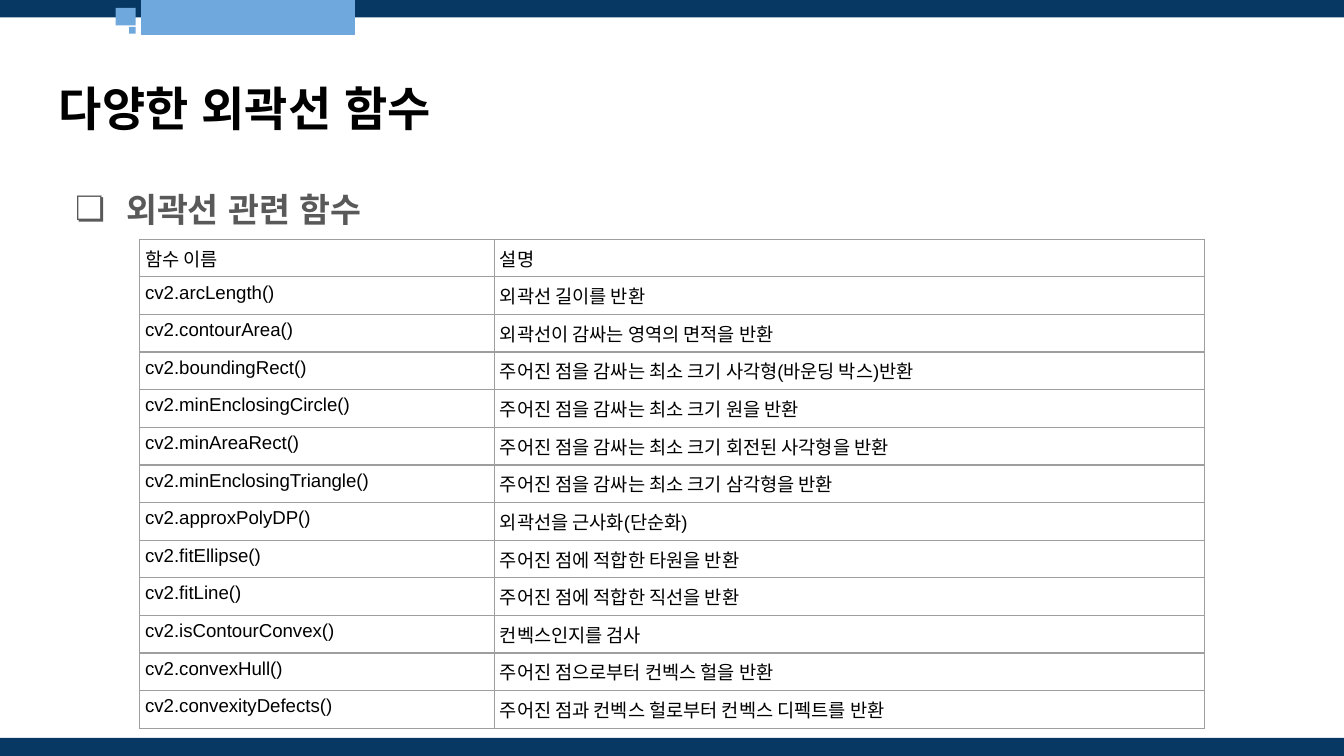
from typing import NamedTuple

from lxml.etree import SubElement
from pptx import Presentation
from pptx.dml.color import RGBColor
from pptx.enum.shapes import MSO_SHAPE as SHAPE
from pptx.oxml.ns import qn
from pptx.util import Inches, Pt

COLORS = {
    "navy": "073763",
    "sky": "6FA8DC",
    "black": "000000",
    "gray": "595959",
    "border": "9E9E9E",
}
FONT = "Arial"
ROW_HEIGHT = 0.28
COL_WIDTHS = (2.64, 5.28)


class Bar(NamedTuple):
    left: float
    top: float
    width: float
    height: float
    color: str


class Function(NamedTuple):
    name: str
    description: str


BARS = [
    Bar(-0.01, -0.01, 10.03, 0.14, "navy"),
    Bar(1.05, 0, 1.59, 0.26, "sky"),
    Bar(0.86, 0.06, 0.15, 0.13, "sky"),
    Bar(0.96, 0.2, 0.05, 0.05, "sky"),
    Bar(-0.01, 5.49, 10.03, 0.14, "navy"),
]

FUNCTIONS = [
    Function("함수 이름", "설명"),
    Function("cv2.arcLength()", "외곽선 길이를 반환"),
    Function("cv2.contourArea()", "외곽선이 감싸는 영역의 면적을 반환"),
    Function("cv2.boundingRect()", "주어진 점을 감싸는 최소 크기 사각형(바운딩 박스)반환"),
    Function("cv2.minEnclosingCircle()", "주어진 점을 감싸는 최소 크기 원을 반환"),
    Function("cv2.minAreaRect()", "주어진 점을 감싸는 최소 크기 회전된 사각형을 반환"),
    Function("cv2.minEnclosingTriangle()", "주어진 점을 감싸는 최소 크기 삼각형을 반환"),
    Function("cv2.approxPolyDP()", "외곽선을 근사화(단순화)"),
    Function("cv2.fitEllipse()", "주어진 점에 적합한 타원을 반환"),
    Function("cv2.fitLine()", "주어진 점에 적합한 직선을 반환"),
    Function("cv2.isContourConvex()", "컨벡스인지를 검사"),
    Function("cv2.convexHull()", "주어진 점으로부터 컨벡스 헐을 반환"),
    Function("cv2.convexityDefects()", "주어진 점과 컨벡스 헐로부터 컨벡스 디펙트를 반환"),
]


def rgb(name: str) -> RGBColor:
    return RGBColor.from_string(COLORS[name])


def set_text(tf, text: str, *, size: float, color: str = "black",
             bold: bool = False, east_asian: bool = True):
    p = tf.paragraphs[0]
    r = p.add_run()
    r.text = text
    r.font.size = Pt(size)
    r.font.bold = bold
    r.font.color.rgb = rgb(color)
    r.font.name = FONT
    if east_asian:
        for tag in ("a:ea", "a:cs"):
            SubElement(r.font._element, qn(tag), typeface=FONT)
    return p


def add_text(s, left: float, top: float, width: float, height: float,
             text: str, **style):
    tf = s.shapes.add_textbox(Inches(left), Inches(top),
                              Inches(width), Inches(height)).text_frame
    tf.word_wrap = True
    tf.margin_left = tf.margin_right = Inches(0.1)
    tf.margin_top = tf.margin_bottom = Inches(0.1)
    return set_text(tf, text, **style)


def add_bullet(p, char: str, color: str, left: float, indent: float) -> None:
    pPr = p._p.get_or_add_pPr()
    pPr.set("marL", str(Inches(left)))
    pPr.set("indent", str(Inches(indent)))
    buClr = SubElement(pPr, qn("a:buClr"))
    SubElement(buClr, qn("a:srgbClr"), val=COLORS[color])
    SubElement(pPr, qn("a:buFont"), typeface=FONT)
    SubElement(pPr, qn("a:buChar"), char=char)


def add_bar(s, bar: Bar) -> None:
    sp = s.shapes.add_shape(SHAPE.RECTANGLE, Inches(bar.left), Inches(bar.top),
                            Inches(bar.width), Inches(bar.height))
    sp.shadow.inherit = False
    sp.fill.solid()
    sp.fill.fore_color.rgb = rgb(bar.color)
    sp.line.fill.background()


def set_borders(cell, color: str, width: float) -> None:
    tcPr = cell._tc.get_or_add_tcPr()
    for i, side in enumerate(("lnL", "lnR", "lnT", "lnB")):
        ln = tcPr.makeelement(qn(f"a:{side}"), {"w": str(Pt(width))})
        fill = SubElement(ln, qn("a:solidFill"))
        SubElement(fill, qn("a:srgbClr"), val=COLORS[color])
        tcPr.insert(i, ln)


def add_function_table(s, left: float, top: float) -> None:
    table = s.shapes.add_table(
        len(FUNCTIONS), len(COL_WIDTHS), Inches(left), Inches(top),
        Inches(sum(COL_WIDTHS)), Inches(ROW_HEIGHT * len(FUNCTIONS))).table
    table.first_row = table.horz_banding = False
    for column, width in zip(table.columns, COL_WIDTHS):
        column.width = Inches(width)
    for row, function in zip(table.rows, FUNCTIONS):
        row.height = Inches(ROW_HEIGHT)
        for cell, text in zip(row.cells, function):
            cell.fill.background()
            set_text(cell.text_frame, text, size=10, east_asian=False)
            cell.margin_left = cell.margin_right = Inches(0.04)
            cell.margin_top = cell.margin_bottom = Inches(0.04)
            set_borders(cell, "border", 0.75)


def main() -> None:
    prs = Presentation()
    prs.slide_width = Inches(10)
    prs.slide_height = prs.slide_width * 9 // 16
    s = prs.slides.add_slide(prs.slide_layouts[6])

    add_text(s, 0.34, 0.49, 9.32, 0.63, "다양한 외곽선 함수", size=25.2, bold=True)
    p = add_text(s, 0.34, 1.26, 9.32, 3.74, "외곽선 관련 함수",
                 size=18, color="gray", bold=True)
    p.line_spacing = 1.15
    add_bullet(p, "❏", "gray", left=0.5, indent=-0.38)

    for bar in BARS:
        add_bar(s, bar)
    add_function_table(s, 1.04, 1.78)

    prs.save("out.pptx")


if __name__ == "__main__":
    main()
